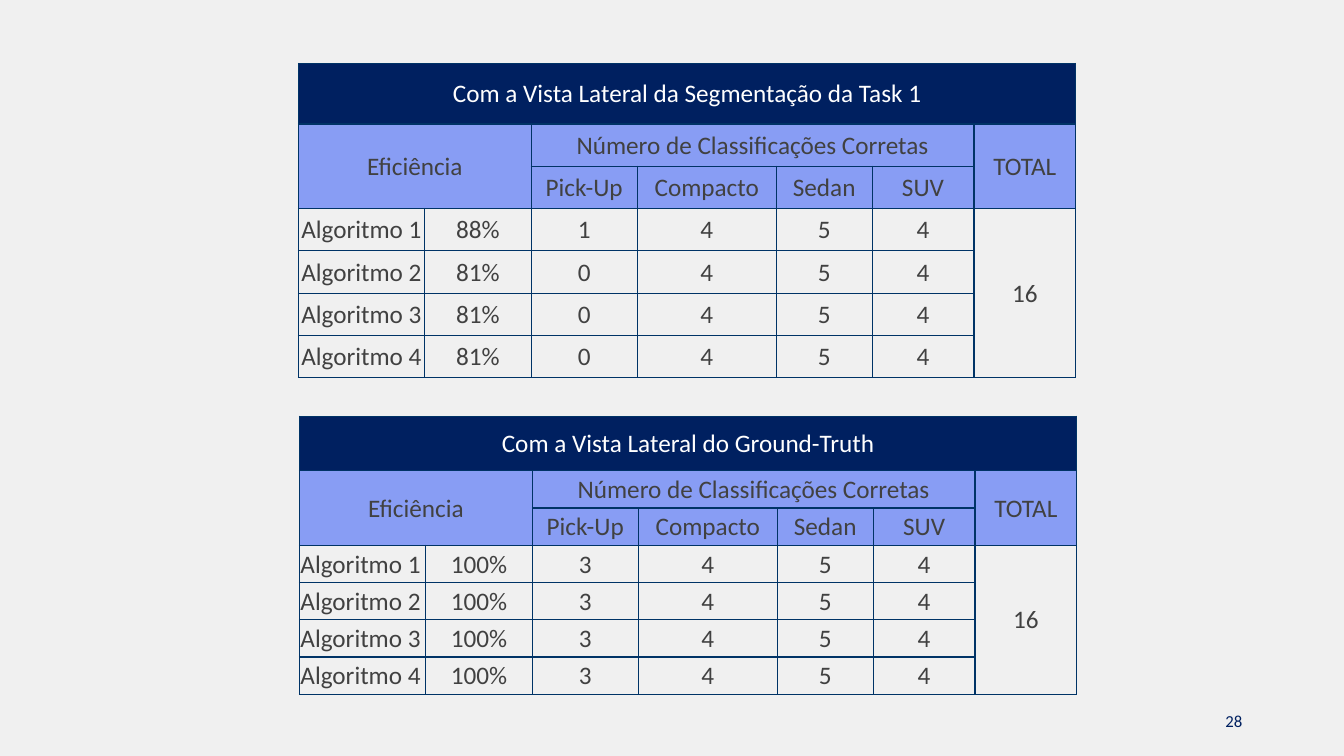
from lxml import etree
from pptx import Presentation
from pptx.dml.color import RGBColor
from pptx.enum.text import MSO_ANCHOR, PP_ALIGN
from pptx.oxml.ns import qn
from pptx.util import Inches, Pt

LEFT, CENTER, RIGHT = PP_ALIGN.LEFT, PP_ALIGN.CENTER, PP_ALIGN.RIGHT
MIDDLE = MSO_ANCHOR.MIDDLE
FONT = "Calibri"
COLORS = {
    "page": "F0F0F0",
    "navy": "002060",
    "header": "889DF4",
    "border": "003366",
    "text": "414141",
    "white": "FFFFFF",
}
COLUMN_WIDTHS = [1.25, 1.06, 1.05, 1.38, 0.95, 1.01, 1.01]
CAR_TYPES = ["Pick-Up", "Compacto", "Sedan", "SUV"]
HEADER_ROWS = 3
# First and last cell (row, column) of each merged block
MERGES = [
    ((0, 0), (0, 6)),
    ((1, 0), (2, 1)),
    ((1, 2), (1, 5)),
    ((1, 6), (2, 6)),
    ((3, 6), (6, 6)),
]


def color(name):
    return RGBColor.from_string(COLORS[name])


def write(frame, text, size, color_name, align):
    para = frame.paragraphs[0]
    para.alignment = align
    span = para.add_run()
    span.text = text
    span.font.name = FONT
    span.font.size = Pt(size)
    span.font.color.rgb = color(color_name)


def add_borders(cell):
    properties = cell._tc.get_or_add_tcPr()
    for side in ("a:lnL", "a:lnR", "a:lnT", "a:lnB"):
        line = etree.SubElement(properties, qn(side), w=str(Pt(1)))
        fill = etree.SubElement(line, qn("a:solidFill"))
        etree.SubElement(fill, qn("a:srgbClr"), val=COLORS["border"])


def style_cell(cell, fill_name):
    cell.margin_left = cell.margin_right = cell.margin_top = Inches(0.01)
    cell.margin_bottom = 0
    cell.vertical_anchor = MIDDLE
    add_borders(cell)
    if fill_name:
        cell.fill.solid()
        cell.fill.fore_color.rgb = color(fill_name)
    else:
        cell.fill.background()


def add_results_table(page, left, top, title, title_height, row_height,
                      results, total, label_align):
    # Cell texts, with blanks where a merged block continues
    rows = [
        [title] + [""] * 6,
        ["Eficiência", "", "Número de Classificações Corretas", "", "", "", "TOTAL"],
        ["", "", *CAR_TYPES, ""],
    ]
    for number, (efficiency, *counts) in enumerate(results, start=1):
        rows.append([f"Algoritmo {number}", efficiency, *map(str, counts),
                     total if number == 1 else ""])

    # Grid
    heights = [title_height] + [row_height] * (len(rows) - 1)
    table = page.shapes.add_table(
        len(rows), len(COLUMN_WIDTHS), Inches(left), Inches(top),
        Inches(sum(COLUMN_WIDTHS)), Inches(sum(heights))).table
    table.first_row = table.horz_banding = False
    for column, width in zip(table.columns, COLUMN_WIDTHS):
        column.width = Inches(width)
    for row, height in zip(table.rows, heights):
        row.height = Inches(height)
    for first, last in MERGES:
        table.cell(*first).merge(table.cell(*last))

    # Cells
    for r, texts in enumerate(rows):
        fill_name = "navy" if r == 0 else "header" if r < HEADER_ROWS else None
        for c, text in enumerate(texts):
            cell = table.cell(r, c)
            style_cell(cell, fill_name)
            if text:
                is_label = c == 0 and r >= HEADER_ROWS
                write(cell.text_frame, text, 18, "white" if r == 0 else "text",
                      label_align if is_label else CENTER)


def add_page_number(page, left, top, width, height, number):
    box = page.shapes.add_textbox(
        Inches(left), Inches(top), Inches(width), Inches(height))
    box.text_frame.word_wrap = True
    box.text_frame.vertical_anchor = MIDDLE
    write(box.text_frame, number, 12, "navy", RIGHT)


def main():
    deck = Presentation()
    deck.slide_width, deck.slide_height = Inches(13.33), Inches(7.5)
    page = deck.slides.add_slide(deck.slide_layouts[6])
    page.background.fill.solid()
    page.background.fill.fore_color.rgb = color("page")

    add_page_number(page, 9.42, 6.95, 3, 0.4, "28")
    add_results_table(
        page, 2.96, 0.63, "Com a Vista Lateral da Segmentação da Task 1", 0.6, 0.42,
        [("88%", 1, 4, 5, 4)] + [("81%", 0, 4, 5, 4)] * 3, "16", CENTER)
    add_results_table(
        page, 2.97, 4.13, "Com a Vista Lateral do Ground-Truth", 0.54, 0.37,
        [("100%", 3, 4, 5, 4)] * 4, "16", LEFT)
    deck.save("out.pptx")


if __name__ == "__main__":
    main()
